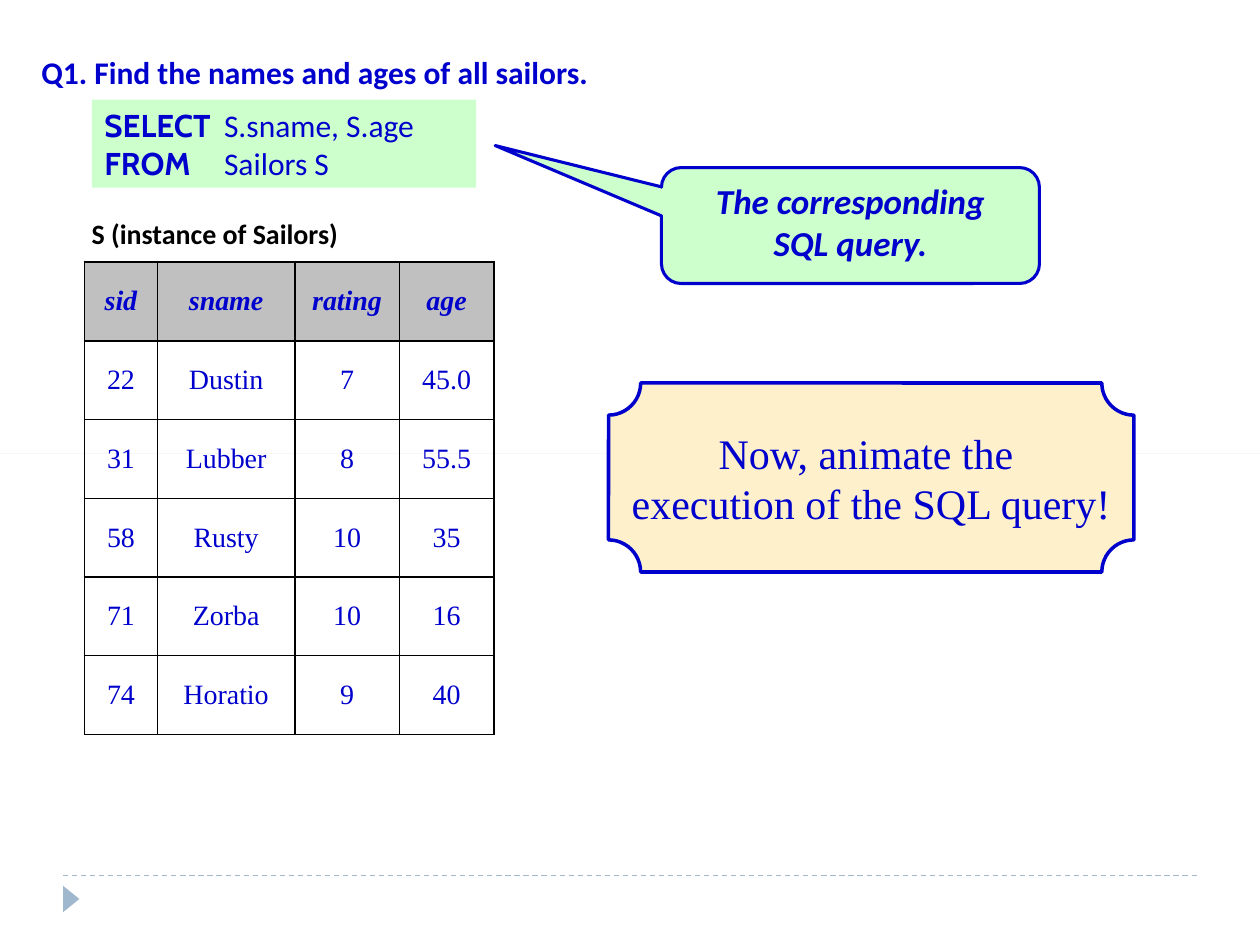
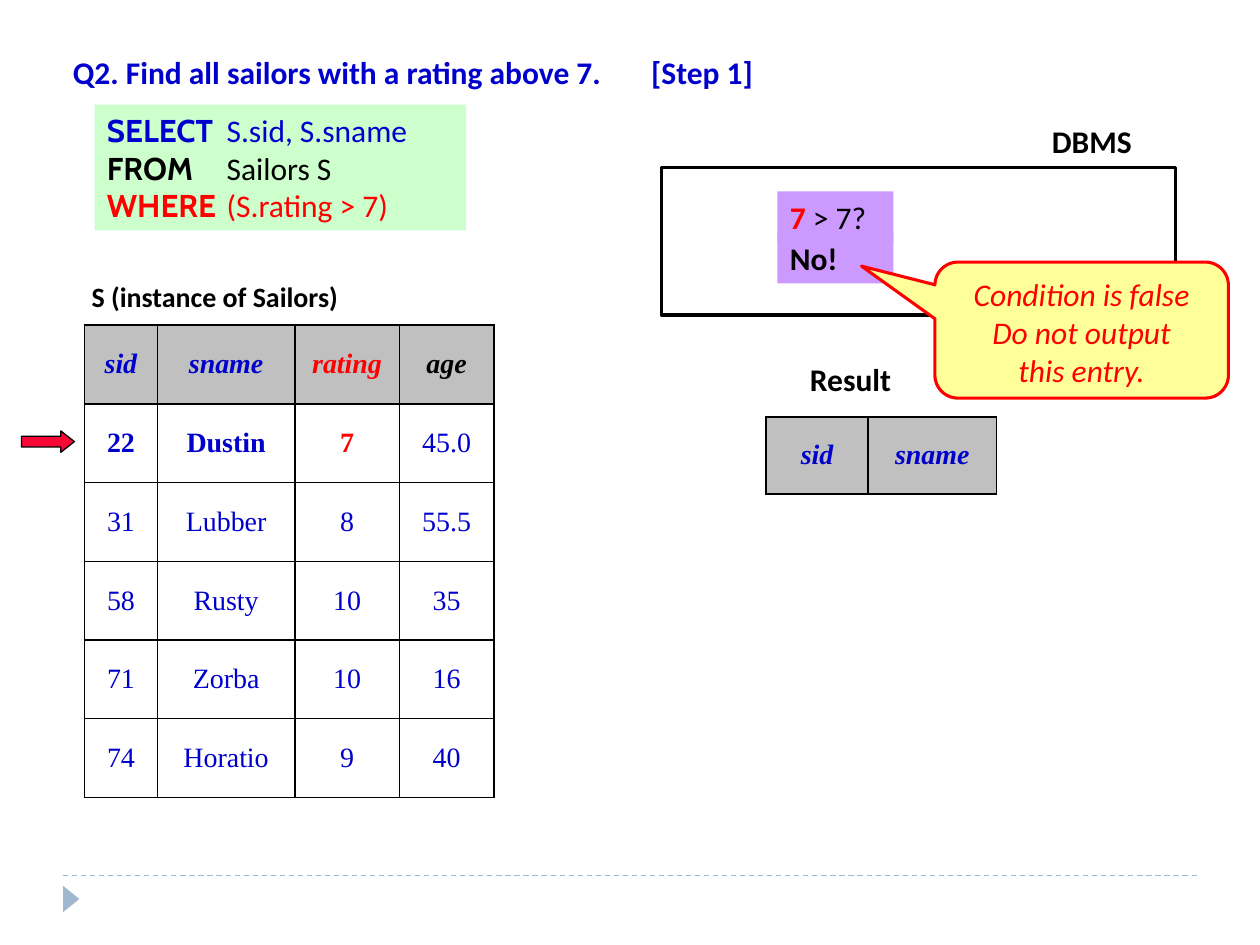
from dataclasses import dataclass
from typing import Optional

import pptx
import pptx.dml.color
import pptx.enum.dml
import pptx.enum.shapes
import pptx.enum.text
import pptx.oxml.ns
import pptx.shapes.autoshape
import pptx.slide
import pptx.text.text
import pptx.util
from lxml import etree

RGBColor = pptx.dml.color.RGBColor
Shapes = pptx.enum.shapes.MSO_SHAPE
Align = pptx.enum.text.PP_ALIGN
Anchor = pptx.enum.text.MSO_ANCHOR
qn = pptx.oxml.ns.qn

# Shared look
EMU_PER_PX = 9144  # 100 px to the inch
BLUE = RGBColor(0x00, 0x00, 0xCC)
RED = RGBColor(0xFF, 0x00, 0x00)
BLACK = RGBColor(0x00, 0x00, 0x00)
GREY = RGBColor(0xC0, 0xC0, 0xC0)
STEEL = RGBColor(0x9F, 0xB8, 0xCD)
GREEN = RGBColor(0xCC, 0xFF, 0xCC)
CREAM = RGBColor(0xFD, 0xF0, 0xCA)
YELLOW = RGBColor(0xFF, 0xFF, 0x99)
PURPLE = RGBColor(0xCC, 0x99, 0xFF)
CRIMSON = RGBColor(0xF7, 0x07, 0x35)
SANS, KEYWORD_FONT, SERIF = "Calibri", "Cabin", "Times New Roman"

SAILORS = [
    ["sid", "sname", "rating", "age"],
    ["22", "Dustin", "7", "45.0"],
    ["31", "Lubber", "8", "55.5"],
    ["58", "Rusty", "10", "35"],
    ["71", "Zorba", "10", "16"],
    ["74", "Horatio", "9", "40"],
]
SAILOR_COLUMNS = [58, 109, 83, 75]


@dataclass(frozen=True)
class Box:
    left: int
    top: int
    width: int
    height: int

    def emu(self) -> list[int]:
        return [px(v) for v in (self.left, self.top, self.width, self.height)]


@dataclass(frozen=True)
class Run:
    """A piece of text; None takes the format of its text frame."""
    text: str
    color: Optional[RGBColor] = None
    bold: Optional[bool] = None
    font: Optional[str] = None


@dataclass(frozen=True)
class Clause:
    """One line of an SQL query."""
    keyword: str
    rest: str
    color: RGBColor = BLUE


def px(length: int) -> pptx.util.Emu:
    return pptx.util.Emu(length * EMU_PER_PX)


# Drawing helpers
def write_text(frame: pptx.text.text.TextFrame, lines: list, *, size: int = 18,
               font: str = SANS, color: RGBColor = BLACK, bold: bool = False,
               italic: bool = False, align: Align = Align.LEFT,
               anchor: Anchor = Anchor.TOP, wrap: bool = True, tab: int = 0) -> None:
    """Each line is a string or a list of runs; tab is a tab stop in px."""
    frame.word_wrap = wrap
    frame.vertical_anchor = anchor
    for index, line in enumerate(lines):
        paragraph = frame.add_paragraph() if index else frame.paragraphs[0]
        paragraph.alignment = align
        if tab:
            tab_list = etree.SubElement(paragraph._p.get_or_add_pPr(), qn("a:tabLst"))
            etree.SubElement(tab_list, qn("a:tab"), pos=str(px(tab)), algn="l")
        for piece in [Run(line)] if isinstance(line, str) else line:
            run = paragraph.add_run()
            run.text = piece.text
            run.font.size = pptx.util.Pt(size)
            run.font.name = piece.font or font
            run.font.color.rgb = piece.color or color
            run.font.bold = bold if piece.bold is None else piece.bold
            run.font.italic = italic


def add_shape(slide: pptx.slide.Slide, kind: Shapes, box: Box, *,
              fill: Optional[RGBColor] = None, line: Optional[RGBColor] = None,
              line_width: float = 1, adjustments: tuple = ()) -> pptx.shapes.autoshape.Shape:
    shape = slide.shapes.add_shape(kind, *box.emu())
    shape.shadow.inherit = False
    for index, value in enumerate(adjustments):
        shape.adjustments[index] = value
    if fill is None:
        shape.fill.background()
    else:
        shape.fill.solid()
        shape.fill.fore_color.rgb = fill
    if line is None:
        shape.line.fill.background()
    else:
        shape.line.color.rgb = line
        shape.line.width = pptx.util.Pt(line_width)
    return shape


def add_label(slide: pptx.slide.Slide, box: Box, text: str, **text_format) -> None:
    label = slide.shapes.add_textbox(*box.emu())
    write_text(label.text_frame, [text], bold=True, **text_format)


def add_query(slide: pptx.slide.Slide, box: Box, clauses: list[Clause]) -> None:
    panel = add_shape(slide, Shapes.RECTANGLE, box, fill=GREEN)
    lines = [[Run(clause.keyword, clause.color, True, KEYWORD_FONT),
              Run("\t" + clause.rest, clause.color)] for clause in clauses]
    write_text(panel.text_frame, lines, tab=95)


def add_callout(slide: pptx.slide.Slide, box: Box, lines: list[str], *, tip: tuple,
                fill: RGBColor, line: RGBColor, **text_format) -> None:
    callout = add_shape(slide, Shapes.ROUNDED_RECTANGULAR_CALLOUT, box, fill=fill,
                        line=line, line_width=1.75, adjustments=(*tip, 0.17))
    write_text(callout.text_frame, lines, color=line, italic=True,
               align=Align.CENTER, **text_format)


def add_relation(slide: pptx.slide.Slide, box: Box, rows: list[list[str]],
                 columns: list[int], emphasis: Optional[dict] = None) -> None:
    """Table with a grey header; emphasis maps (row, column) to a bold colour."""
    emphasis = emphasis or {}
    table = slide.shapes.add_table(len(rows), len(columns), *box.emu()).table
    table.first_row = table.horz_banding = False
    for column, width in zip(table.columns, columns):
        column.width = px(width)
    for row_index, values in enumerate(rows):
        header = row_index == 0
        table.rows[row_index].height = px(box.height) // len(rows)
        for column_index, value in enumerate(values):
            place = (row_index, column_index)
            cell = table.cell(*place)
            properties = cell._tc.get_or_add_tcPr()
            for side in ("lnL", "lnR", "lnT", "lnB"):
                border = etree.SubElement(properties, qn(f"a:{side}"),
                                          w=str(pptx.util.Pt(1)))
                paint = etree.SubElement(border, qn("a:solidFill"))
                etree.SubElement(paint, qn("a:srgbClr"), val=str(BLACK))
            if header:
                cell.fill.solid()
                cell.fill.fore_color.rgb = GREY
            else:
                cell.fill.background()
            write_text(cell.text_frame, [value], size=16, font=SERIF,
                       color=emphasis.get(place, BLUE), bold=header or place in emphasis,
                       italic=header, align=Align.CENTER)
            cell.vertical_anchor = Anchor.MIDDLE


def add_sailors(slide: pptx.slide.Slide, top: int, emphasis: Optional[dict] = None) -> None:
    add_relation(slide, Box(67, top, sum(SAILOR_COLUMNS), 375), SAILORS,
                 SAILOR_COLUMNS, emphasis)
    add_label(slide, Box(63, top - 41, 254, 37), "S (instance of Sailors)", size=16)


def add_base_slide(presentation) -> pptx.slide.Slide:
    """Blank slide with the dashed footer rule and its marker."""
    slide = presentation.slides.add_slide(presentation.slide_layouts[6])
    rule = slide.shapes.add_connector(pptx.enum.shapes.MSO_CONNECTOR.STRAIGHT,
                                      px(50), px(695), px(950), px(695))
    rule.line.color.rgb = STEEL
    rule.line.width = pptx.util.Pt(0.75)
    rule.line.dash_style = pptx.enum.dml.MSO_LINE.DASH
    etree.SubElement(rule._element.spPr, qn("a:effectLst"))
    marker = add_shape(slide, Shapes.ISOSCELES_TRIANGLE, Box(46, 707, 21, 13), fill=STEEL)
    marker.rotation = 90
    return slide


# Slides
def build_projection_slide(presentation) -> None:
    slide = add_base_slide(presentation)
    add_label(slide, Box(23, 37, 526, 40), "Q1. Find the names and ages of all sailors.",
              color=BLUE)
    add_shape(slide, Shapes.RECTANGLE, Box(0, 360, 1000, 0), fill=GREY)
    add_sailors(slide, 208)
    add_query(slide, Box(73, 79, 305, 70),
              [Clause("SELECT", "S.sname, S.age"), Clause("FROM", "Sailors S")])
    add_callout(slide, Box(525, 133, 300, 92), ["The corresponding", "SQL query."],
                tip=(-0.94, -0.69), fill=GREEN, line=BLUE, size=20, bold=True)
    plaque = add_shape(slide, Shapes.PLAQUE, Box(483, 304, 417, 150), fill=CREAM,
                       line=BLUE, line_width=2, adjustments=(0.17,))
    write_text(plaque.text_frame, ["Now, animate the ", "execution of the SQL query!"],
               size=24, font=SERIF, color=BLUE, align=Align.CENTER,
               anchor=Anchor.MIDDLE, wrap=False)


def build_selection_slide(presentation) -> None:
    slide = add_base_slide(presentation)
    add_label(slide, Box(48, 37, 818, 40),
              "Q2. Find all sailors with a rating above 7.\t[Step 1]", color=BLUE, tab=459)
    add_query(slide, Box(75, 83, 295, 100),
              [Clause("SELECT", "S.sid, S.sname"), Clause("FROM", "Sailors S", BLACK),
               Clause("WHERE", "(S.rating > 7)", RED)])

    # Current row of the scan
    add_shape(slide, Shapes.RIGHT_ARROW, Box(17, 342, 42, 17), fill=CRIMSON, line=BLACK,
              line_width=0.75, adjustments=(0.5, 0.63))
    add_sailors(slide, 258, {(0, 2): RED, (0, 3): BLACK,
                             (1, 0): BLUE, (1, 1): BLUE, (1, 2): RED})

    # Condition check inside the DBMS
    checks = [[Run("7", RED, True), Run(" > 7?")], [Run("No!", bold=True)]]
    for index, check in enumerate(checks):
        panel = add_shape(slide, Shapes.RECTANGLE, Box(617, 152 + 33 * index, 92, 40),
                          fill=PURPLE)
        write_text(panel.text_frame, [check])
    add_shape(slide, Shapes.RECTANGLE, Box(525, 133, 408, 117), line=BLACK, line_width=2.25)
    add_label(slide, Box(825, 92, 108, 40), "DBMS")

    # Result so far
    add_label(slide, Box(633, 281, 108, 40), "Result")
    add_relation(slide, Box(608, 331, 183, 61), [["sid", "sname"]], [81, 102])
    add_callout(slide, Box(742, 208, 233, 108),
                ["Condition is false", "Do not output", "this entry."],
                tip=(-0.75, -0.47), fill=YELLOW, line=RED)


def main() -> None:
    presentation = pptx.Presentation()
    presentation.slide_width, presentation.slide_height = px(1000), px(750)
    build_projection_slide(presentation)
    build_selection_slide(presentation)
    presentation.save("out.pptx")


if __name__ == "__main__":
    main()
